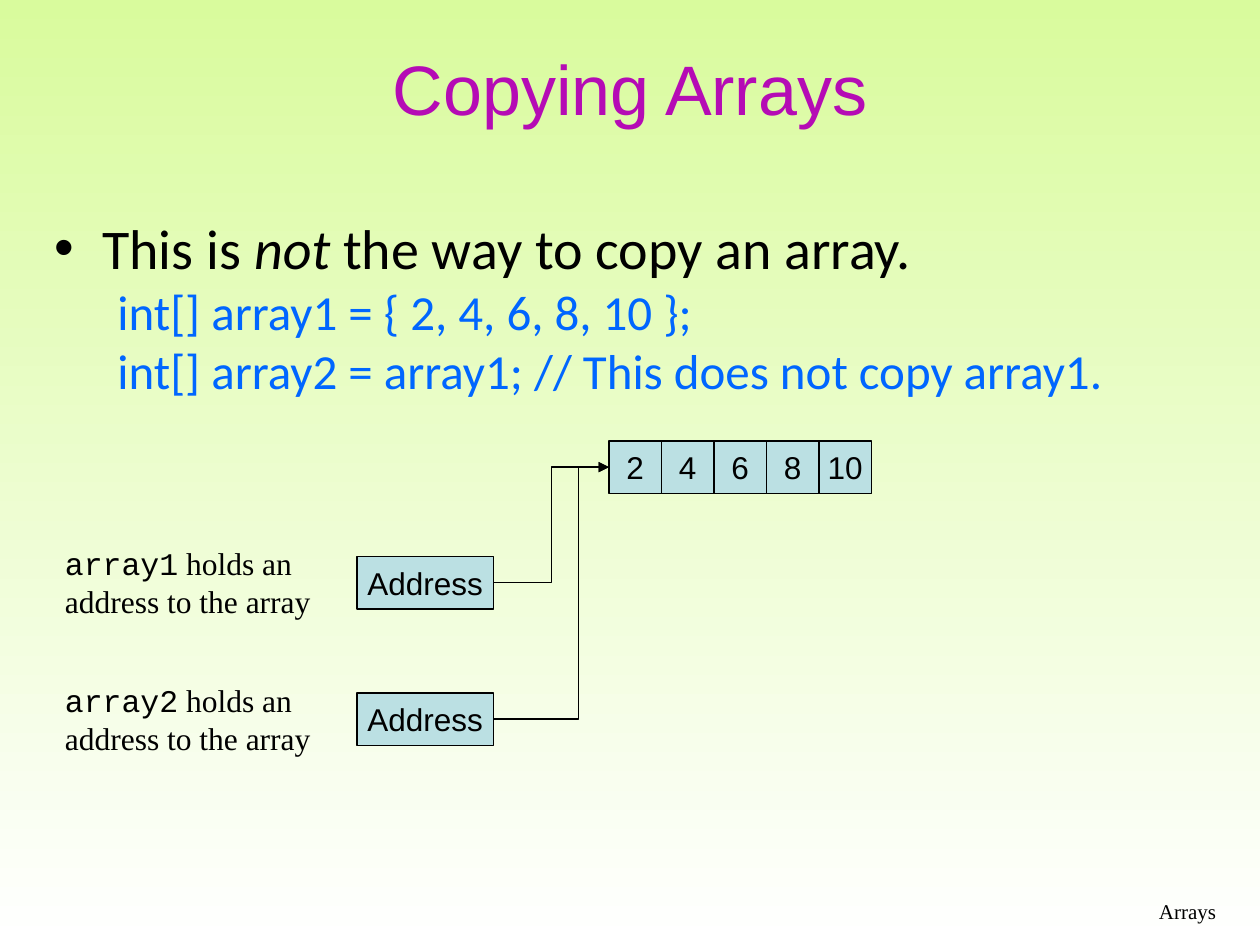
from dataclasses import dataclass
from typing import NamedTuple

from lxml import etree
from pptx import Presentation
from pptx import util as u
from pptx.dml.color import RGBColor
from pptx.enum import shapes, text
from pptx.oxml.ns import qn


@dataclass(frozen=True)
class Theme:
    sky: str = "D9FB9D"
    ground: str = "FFFFFF"
    title: str = "B50BB5"
    ink: str = "000000"
    code: str = "0066FF"
    cell: str = "BBE0E3"
    title_size: int = 40
    bullet_size: int = 32
    code_size: int = 28
    label_size: int = 18
    footer_size: int = 12
    line: float = 0.75
    sans: str = "Arial"
    body: str = "Calibri"
    mono: str = "Courier New"
    serif: str = "Times New Roman"


class Box(NamedTuple):
    col: float
    row: float
    cols: float
    rows: float


@dataclass(frozen=True)
class Reference:
    name: str
    row: float
    bend: float


T = Theme()
COLUMNS, ROWS = 120, 90
UNIT = u.Inches(10) // COLUMNS
CELL = 5
ARRAY_COL, ARRAY_ROW = 58, 42
ADDRESS_COL, ADDRESS_COLS = 34, 13
VALUES = (2, 4, 6, 8, 10)
REFERENCES = (Reference("array1", 53, 0.5), Reference("array2", 66, 0.738))


def grid(n: float) -> int:
    return round(n * UNIT)


def child(parent, tag: str, **attrs: str):
    return etree.SubElement(parent, qn(tag), **attrs)


def write(p, content: str, *, size: float, font: str, color: str = T.ink,
          italic: bool = False, align=text.PP_ALIGN.LEFT) -> None:
    p.alignment = align
    r = p.add_run()
    r.text = content
    f = r.font
    f.size, f.name, f.italic = u.Pt(size), font, italic
    f.color.rgb = RGBColor.from_string(color)


def add_text_box(slide, box: Box, *, wrap: bool = True,
                 anchor=text.MSO_ANCHOR.TOP):
    tf = slide.shapes.add_textbox(*map(grid, box)).text_frame
    tf.word_wrap, tf.vertical_anchor = wrap, anchor
    return tf


def add_cell(slide, box: Box, content: str) -> None:
    sp = slide.shapes.add_shape(shapes.MSO_SHAPE.RECTANGLE, *map(grid, box))
    sp.shadow.inherit = False
    sp.fill.solid()
    sp.fill.fore_color.rgb = RGBColor.from_string(T.cell)
    sp.line.color.rgb = RGBColor.from_string(T.ink)
    sp.line.width = u.Pt(T.line)
    tf = sp.text_frame
    tf.word_wrap, tf.vertical_anchor = False, text.MSO_ANCHOR.MIDDLE
    write(tf.paragraphs[0], content, size=T.label_size, font=T.sans,
          align=text.PP_ALIGN.CENTER)


def add_arrow(slide, start: tuple[float, float], end: tuple[float, float],
              bend: float) -> None:
    cx = slide.shapes.add_connector(shapes.MSO_CONNECTOR.ELBOW,
                                    *map(grid, start + end))
    cx.line.color.rgb = RGBColor.from_string(T.ink)
    cx.line.width = u.Pt(T.line)
    child(cx.line._get_or_add_ln(), "a:tailEnd", type="triangle")
    props = cx._element.spPr
    child(props, "a:effectLst")
    guides = props.find(qn("a:prstGeom")).find(qn("a:avLst"))
    child(guides, "a:gd", name="adj1", fmla=f"val {round(bend * 100000)}")


def format_line(p, *, margin: float, indent: float, before: float,
                bullet: str = "") -> None:
    p.line_spacing, p.space_before = 0.8, u.Pt(before)
    props = p._p.get_or_add_pPr()
    props.set("marL", str(u.Inches(margin)))
    props.set("indent", str(u.Inches(indent)))
    if bullet:
        child(child(props, "a:buClr"), "a:srgbClr", val=T.ink)
        child(props, "a:buFont", typeface=T.sans)
        child(props, "a:buChar", char=bullet)
    else:
        child(props, "a:buNone")


def add_body(slide) -> None:
    tf = add_text_box(slide, Box(4, 21, 108.8, 18.4))
    p = tf.paragraphs[0]
    for content, italic in (("This is ", False), ("not", True),
                            (" the way to copy an array.", False)):
        write(p, content, size=T.bullet_size, font=T.body, italic=italic)
    format_line(p, margin=0.38, indent=-0.38, before=8, bullet="•")
    for code in ("int[] array1 = { 2, 4, 6, 8, 10 };",
                 "int[] array2 = array1; // This does not copy array1."):
        p = tf.add_paragraph()
        p.level = 1
        write(p, code, size=T.code_size, font=T.body, color=T.code)
        format_line(p, margin=0.81, indent=-0.31, before=7)


def add_reference(slide, ref: Reference) -> None:
    add_cell(slide, Box(ADDRESS_COL, ref.row, ADDRESS_COLS, CELL), "Address")
    tf = add_text_box(slide, Box(5, ref.row - 1.75, 25.8, 8.4), wrap=False)
    tf.auto_size = text.MSO_AUTO_SIZE.SHAPE_TO_FIT_TEXT
    p = tf.paragraphs[0]
    write(p, ref.name, size=T.label_size, font=T.mono)
    write(p, " holds an", size=T.label_size, font=T.serif)
    write(tf.add_paragraph(), "address to the array", size=T.label_size,
          font=T.serif)
    add_arrow(slide, (ADDRESS_COL + ADDRESS_COLS, ref.row + CELL / 2),
              (ARRAY_COL, ARRAY_ROW + CELL / 2), ref.bend)


def main() -> None:
    prs = Presentation()
    prs.slide_width, prs.slide_height = grid(COLUMNS), grid(ROWS)
    slide = prs.slides.add_slide(prs.slide_layouts[6])
    fill = slide.background.fill
    fill.gradient()
    fill.gradient_angle = 270
    for stop, color in zip(fill.gradient_stops, (T.sky, T.ground)):
        stop.color.rgb = RGBColor.from_string(color)

    title = add_text_box(slide, Box(3, 3.6, 114, 9.4),
                         anchor=text.MSO_ANCHOR.MIDDLE)
    write(title.paragraphs[0], "Copying Arrays", size=T.title_size,
          font=T.sans, color=T.title, align=text.PP_ALIGN.CENTER)
    add_body(slide)
    for i, value in enumerate(VALUES):
        add_cell(slide, Box(ARRAY_COL + i * CELL, ARRAY_ROW, CELL, CELL),
                 str(value))
    for ref in REFERENCES:
        add_reference(slide, ref)
    footer = add_text_box(slide, Box(44, 85, 73, 4))
    write(footer.paragraphs[0], "Arrays", size=T.footer_size, font=T.serif,
          align=text.PP_ALIGN.RIGHT)
    prs.save("out.pptx")


if __name__ == "__main__":
    main()
